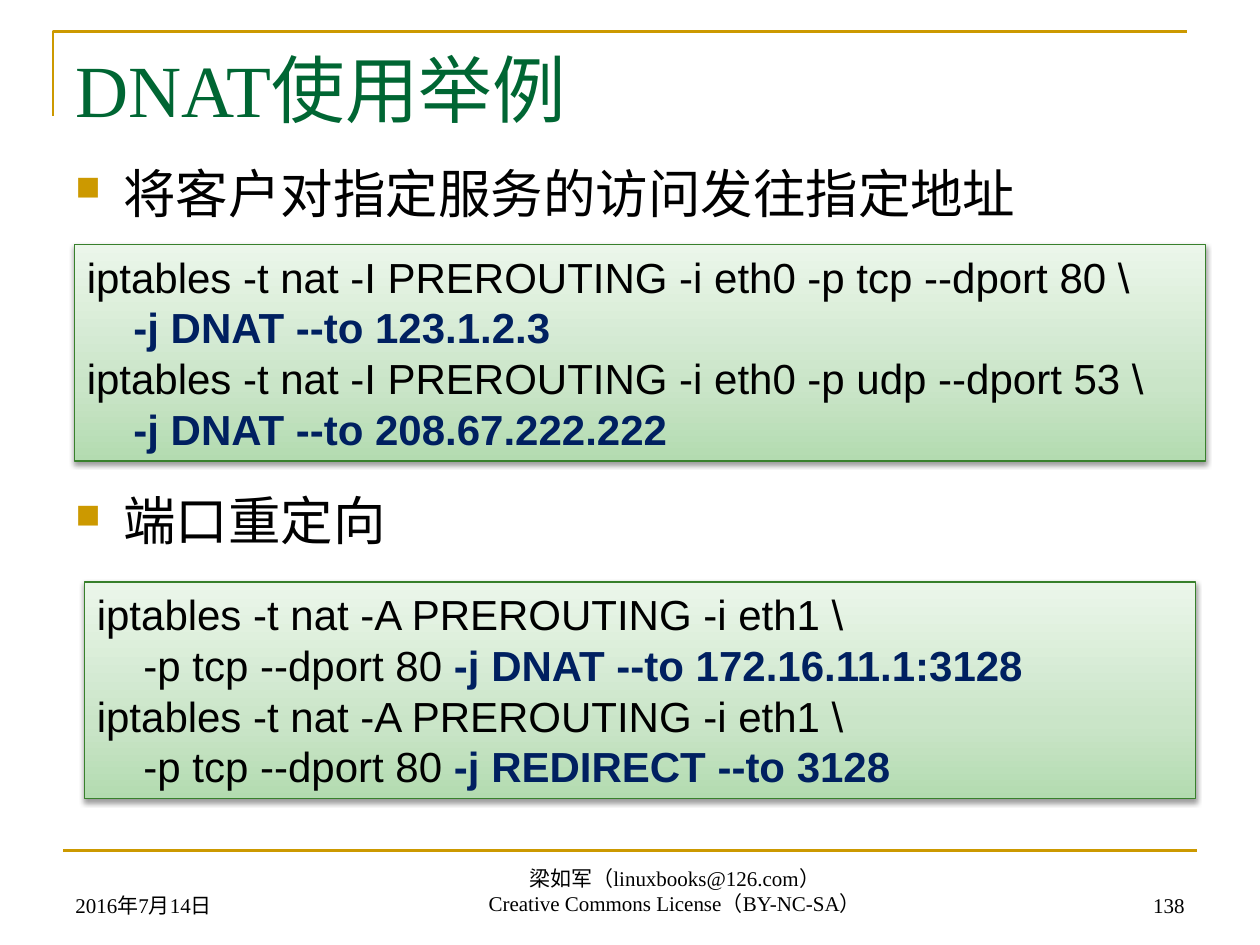
from lxml import etree
from pptx import Presentation
from pptx import util as u
from pptx.dml.color import RGBColor
from pptx.enum import shapes, text
from pptx.oxml import parse_xml
from pptx.oxml.ns import nsdecls, qn

COLORS = {
    "gold": "CC9900", "title": "006633", "ink": "000000", "action": "002060",
    "border": "38802C", "deep": "B3DBB0", "middle": "CAE5C8", "pale": "EBF6EA",
}
rgb = {name: RGBColor.from_string(value) for name, value in COLORS.items()}

deck = Presentation()
deck.slide_width, deck.slide_height = u.Inches(10), u.Inches(7.5)
page = deck.slides.add_slide(deck.slide_layouts[5])
column, row = deck.slide_width / 20, deck.slide_height / 30


def area(left, top, width, height):
    return [round(n) for n in (left * column, top * row, width * column, height * row)]


def style(para, size, face, color="ink"):
    para.font.size = u.Pt(size)
    para.font.name = face
    para.font.color.rgb = rgb[color]


corner = page.shapes.build_freeform(round(0.84 * column), round(3.68 * row))
corner.add_line_segments(
    [(round(x * column), round(y * row)) for x, y in ((0.84, 1), (18.84, 1))], close=False)
frame = corner.convert_to_shape()
frame.shadow.inherit = False
frame.fill.background()
rule = page.shapes.add_connector(
    shapes.MSO_CONNECTOR.STRAIGHT, *[round(n) for n in (column, 27 * row, 19 * column, 27 * row)])
etree.SubElement(rule._element.spPr, qn("a:effectLst"))
for stroke in (frame, rule):
    stroke.line.color.rgb = rgb["gold"]
    stroke.line.width = u.Pt(1.5)

title = page.shapes.title
title.left, title.top, title.width, title.height = area(1, 1.2, 18, 5)
title.text_frame.text = "DNAT使用举例"
title.text_frame.vertical_anchor = text.MSO_ANCHOR.TOP
title.text_frame.auto_size = text.MSO_AUTO_SIZE.NONE
title.text_frame.paragraphs[0].alignment = text.PP_ALIGN.LEFT
style(title.text_frame.paragraphs[0], 42, "Times New Roman", "title")

body = page.shapes.add_textbox(*area(1, 4.92, 18, 21.88)).text_frame
body.word_wrap = True
body.text = "将客户对指定服务的访问发往指定地址\n端口重定向"
for para in body.paragraphs:
    properties = para._p.get_or_add_pPr()
    properties.set("marL", str(u.Inches(0.38)))
    properties.set("indent", str(u.Inches(-0.38)))
    for bullet in (
        f'<a:buClr {nsdecls("a")}><a:srgbClr val="{COLORS["gold"]}"/></a:buClr>',
        f'<a:buSzPct {nsdecls("a")} val="65000"/>',
        f'<a:buChar {nsdecls("a")} char="■"/>',
    ):
        properties.append(parse_xml(bullet))
    style(para, 30, "Arial")
body.paragraphs[1].space_before = u.Pt(151)

footers = [
    ((1, 27.32, 4.66, 2), text.PP_ALIGN.LEFT, "2016年7月14日"),
    ((4.8, 27.28, 11.82, 2), text.PP_ALIGN.CENTER,
     "梁如军（linuxbooks@126.com）\nCreative Commons License（BY-NC-SA）"),
    ((14.34, 27.32, 4.66, 2), text.PP_ALIGN.RIGHT, "138"),
]
for place, alignment, words in footers:
    footer = page.shapes.add_textbox(*area(*place)).text_frame
    footer.word_wrap = True
    footer.vertical_anchor = text.MSO_ANCHOR.BOTTOM
    footer.text = words
    for para in footer.paragraphs:
        para.alignment = alignment
        style(para, 12, "Times New Roman")

stops = "".join(
    f'<a:gs pos="{share * 1000}"><a:srgbClr val="{COLORS[name]}"/></a:gs>'
    for share, name in ((0, "deep"), (35, "middle"), (100, "pale")))
gradient = (f'<a:gradFill {nsdecls("a")} rotWithShape="1"><a:gsLst>{stops}</a:gsLst>'
            '<a:lin ang="16200000" scaled="0"/></a:gradFill>')
shadow = (f'<a:outerShdw {nsdecls("a")} blurRad="{u.Pt(3.1)}" dist="{u.Pt(1.6)}" dir="5400000" '
          f'rotWithShape="0"><a:srgbClr val="{COLORS["ink"]}"><a:alpha val="38000"/>'
          '</a:srgbClr></a:outerShdw>')

listings = [
    ((1.18, 7.76, 17.96, 6.88), [
        ("iptables -t nat -I PREROUTING -i eth0 -p tcp --dport 80 \\", ""),
        ("    ", "-j DNAT --to 123.1.2.3"),
        ("iptables -t nat -I PREROUTING -i eth0 -p udp --dport 53 \\", ""),
        ("    ", "-j DNAT --to 208.67.222.222"),
    ]),
    ((1.34, 18.48, 17.64, 6.88), [
        ("iptables -t nat -A PREROUTING -i eth1 \\", ""),
        ("    -p tcp --dport 80 ", "-j DNAT --to 172.16.11.1:3128"),
        ("iptables -t nat -A PREROUTING -i eth1 \\", ""),
        ("    -p tcp --dport 80 ", "-j REDIRECT --to 3128"),
    ]),
]
for place, lines in listings:
    box = page.shapes.add_shape(shapes.MSO_SHAPE.RECTANGLE, *area(*place))
    box.line.color.rgb = rgb["border"]
    box.line.width = u.Pt(0.75)
    box.shadow.inherit = False
    box._element.spPr.find(qn("a:prstGeom")).addnext(parse_xml(gradient))
    box._element.spPr.find(qn("a:effectLst")).append(parse_xml(shadow))
    code = box.text_frame
    code.word_wrap = True
    code.auto_size = text.MSO_AUTO_SIZE.SHAPE_TO_FIT_TEXT
    code.vertical_anchor = text.MSO_ANCHOR.TOP
    for number, (command, action) in enumerate(lines):
        para = code.add_paragraph() if number else code.paragraphs[0]
        para.alignment = text.PP_ALIGN.LEFT
        para.line_spacing = u.Pt(29)
        style(para, 24, "Arial")
        para.add_run().text = command
        if action:
            span = para.add_run()
            span.text = action
            span.font.bold = True
            span.font.color.rgb = rgb["action"]

deck.save("out.pptx")
